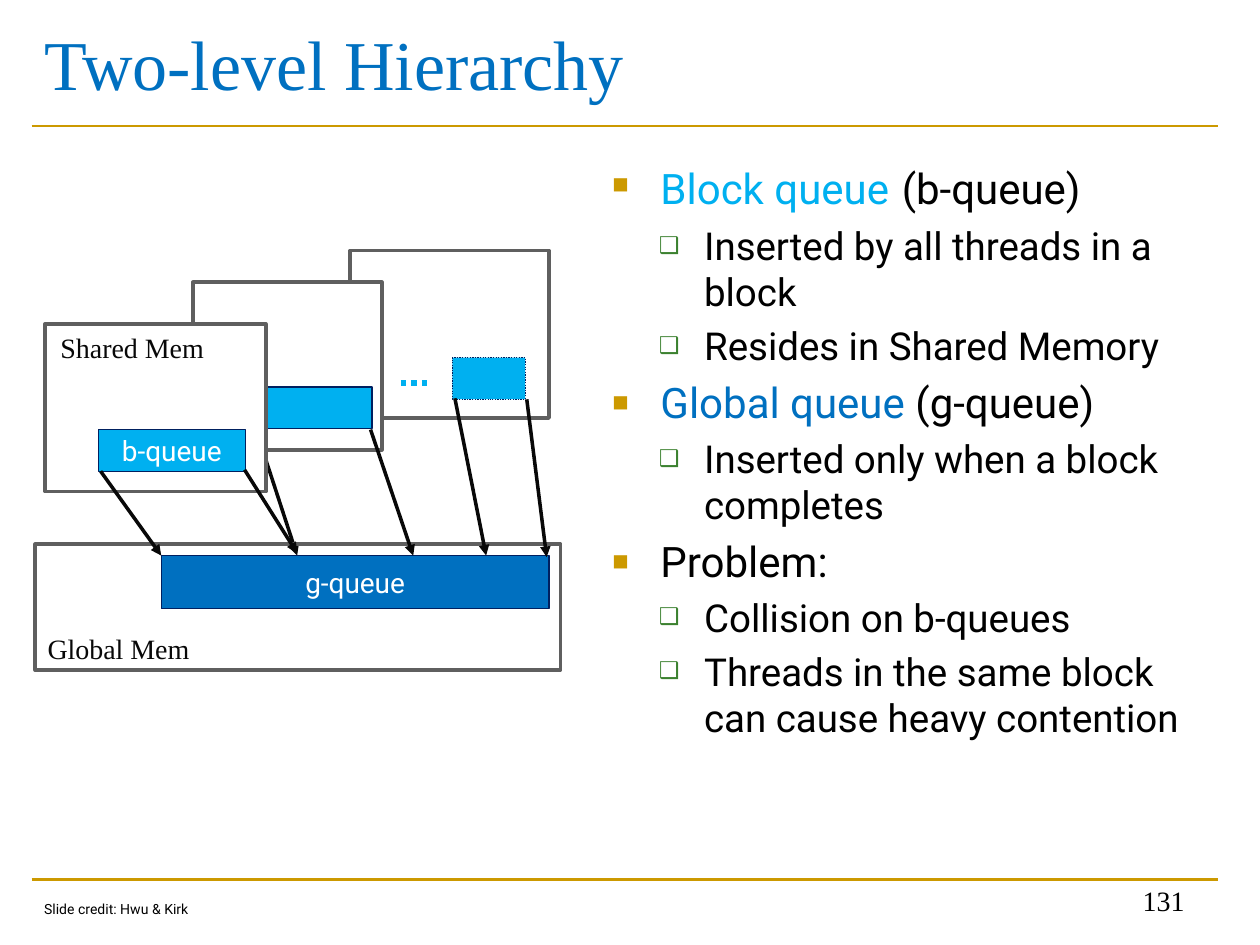
"""Build the slide on the two-level queue hierarchy."""
from dataclasses import dataclass

from lxml.etree import SubElement
from pptx import Presentation
from pptx.dml.color import RGBColor
from pptx.enum.dml import MSO_LINE
from pptx.enum.shapes import MSO_CONNECTOR, MSO_SHAPE
from pptx.enum.text import MSO_ANCHOR, MSO_AUTO_SIZE, PP_ALIGN
from pptx.oxml.ns import qn
from pptx.util import Cm, Pt


@dataclass(frozen=True)
class Theme:
    serif: str = "Times New Roman"
    sans: str = "Roboto"
    blue: str = "0070C0"
    cyan: str = "00B0F0"
    navy: str = "002060"
    gold: str = "CC9900"
    green: str = "3B812F"
    grey: str = "5F5F5F"
    ink: str = "080808"
    black: str = "000000"
    white: str = "FFFFFF"
    title_size: float = 40
    topic_size: float = 24
    gap_size: float = 29
    detail_size: float = 22
    label_size: float = 16
    credit_size: float = 8


class SlideBuilder:
    def __init__(self, slide, theme):
        self.slide = slide
        self.theme = theme

    def run(self, paragraph, text, size, color, face):
        run = paragraph.add_run()
        run.text = text
        run.font.size = Pt(size)
        run.font.name = face
        run.font.color.rgb = RGBColor.from_string(color)

    def place(self, shape, box):
        shape.left, shape.top, shape.width, shape.height = map(Cm, box)

    def title(self, text, box):
        holder = self.slide.shapes.title
        self.place(holder, box)
        holder.text_frame.vertical_anchor = MSO_ANCHOR.MIDDLE
        holder.text_frame.auto_size = MSO_AUTO_SIZE.NONE
        heading = holder.text_frame.paragraphs[0]
        heading.alignment = PP_ALIGN.LEFT
        self.run(heading, text, self.theme.title_size, self.theme.blue, self.theme.serif)

    def bullet(self, paragraph, mark, color, percent, margin, hang):
        properties = paragraph._p.get_or_add_pPr()
        properties.set("marL", str(Cm(margin)))
        properties.set("indent", str(-Cm(hang)))
        tint = SubElement(properties, qn("a:buClr"))
        SubElement(tint, qn("a:srgbClr"), val=color)
        SubElement(properties, qn("a:buSzPct"), val=str(percent * 1000))
        SubElement(properties, qn("a:buChar"), char=mark)

    def outline(self, items, box):
        theme = self.theme
        holder = self.slide.placeholders[1]
        self.place(holder, box)
        frame = holder.text_frame
        frame.auto_size = MSO_AUTO_SIZE.NONE
        for index, (level, runs) in enumerate(items):
            item = frame.add_paragraph() if index else frame.paragraphs[0]
            item.level = level
            if level:
                self.bullet(item, "❑", theme.green, 60, 1.85, 0.91)
            else:
                self.bullet(item, "■", theme.gold, 65, 0.97, 0.97)
            base_size = theme.detail_size if level else theme.topic_size
            item.space_before = Pt(base_size * 0.2 if index else 0)
            for text, color, size in runs:
                self.run(item, text, size or base_size, color, theme.sans)

    def rectangle(self, box, fill, border, weight, label="", dash=None):
        rect = self.slide.shapes.add_shape(MSO_SHAPE.RECTANGLE, *map(Cm, box))
        rect.shadow.inherit = False
        if fill:
            rect.fill.solid()
            rect.fill.fore_color.rgb = RGBColor.from_string(fill)
        else:
            rect.fill.background()
        rect.line.color.rgb = RGBColor.from_string(border)
        rect.line.width = Pt(weight)
        if dash:
            rect.line.dash_style = dash
        if label:
            frame = rect.text_frame
            frame.word_wrap = False
            frame.vertical_anchor = MSO_ANCHOR.MIDDLE
            frame.paragraphs[0].alignment = PP_ALIGN.CENTER
            self.run(frame.paragraphs[0], label, self.theme.label_size,
                     self.theme.white, self.theme.sans)

    def memory(self, box, fill=None):
        self.rectangle(box, fill, self.theme.grey, 2)

    def queue(self, box, fill, label="", dash=None):
        self.rectangle(box, fill, self.theme.navy, 0.75, label, dash)

    def line(self, start, end, color, weight, dash=None):
        line = self.slide.shapes.add_connector(
            MSO_CONNECTOR.STRAIGHT, *map(Cm, start + end))
        line.line.color.rgb = RGBColor.from_string(color)
        line.line.width = Pt(weight)
        if dash:
            line.line.dash_style = dash
        SubElement(line._element.spPr, qn("a:effectLst"))
        return line

    def arrow(self, start, end):
        shaft = self.line(start, end, self.theme.ink, 2)
        SubElement(shaft.line._get_or_add_ln(), qn("a:tailEnd"), type="triangle")

    def text(self, text, box, size, color, face):
        label = self.slide.shapes.add_textbox(*map(Cm, box))
        label.text_frame.word_wrap = False
        label.text_frame.auto_size = MSO_AUTO_SIZE.SHAPE_TO_FIT_TEXT
        self.run(label.text_frame.paragraphs[0], text, size, color, face)

    def page_number(self, number, box):
        label = self.slide.shapes.add_textbox(*map(Cm, box))
        frame = label.text_frame
        frame.word_wrap = True
        frame.vertical_anchor = MSO_ANCHOR.BOTTOM
        frame.paragraphs[0].alignment = PP_ALIGN.RIGHT
        self.run(frame.paragraphs[0], number, self.theme.label_size,
                 self.theme.black, self.theme.serif)


def main():
    deck = Presentation()
    deck.slide_width, deck.slide_height = Cm(25.4), Cm(19.05)
    theme = Theme()
    page = SlideBuilder(deck.slides.add_slide(deck.slide_layouts[1]), theme)

    for rule_y in (2.54, 17.73):
        page.line((0.64, rule_y), (24.56, rule_y), theme.gold, 1.5)
    page.title("Two-level Hierarchy", (0.64, 0, 23.93, 2.51))

    def plain(text):
        return [(text, theme.black, None)]

    page.outline([
        (0, [("Block queue", theme.cyan, None), (" ", theme.black, theme.gap_size),
             ("(b-queue)", theme.black, None)]),
        (1, plain("Inserted by all threads in a block")),
        (1, plain("Resides in Shared Memory")),
        (0, [("Global queue ", theme.blue, None), ("(g-queue)", theme.black, None)]),
        (1, plain("Inserted only when a block completes")),
        (0, plain("Problem:")),
        (1, plain("Collision on b-queues")),
        (1, plain("Threads in the same block can cause heavy contention")),
    ], (12.09, 2.97, 12.34, 13.54))

    page.memory((7.06, 5.05, 4.01, 3.38), theme.white)
    page.arrow((5.16, 8.66), (5.99, 11.2))
    page.memory((0.71, 10.97, 10.59, 2.54))
    page.queue((3.25, 11.2, 7.82, 1.07), theme.blue, "g-queue")
    page.memory((3.89, 5.69, 3.81, 3.38), theme.white)
    page.queue((9.12, 7.21, 1.47, 0.84), theme.cyan, dash=MSO_LINE.ROUND_DOT)
    page.queue((5.16, 7.8, 2.34, 0.84), theme.cyan)
    page.memory((0.91, 6.53, 4.45, 3.38), theme.white)
    page.queue((1.98, 8.66, 2.97, 0.84), theme.cyan, "b-queue")

    for queue_corner, slot in (
        ((2.03, 9.5), (3.25, 11.2)),
        ((4.93, 9.47), (5.99, 11.15)),
        ((7.47, 8.66), (8.33, 11.2)),
        ((9.17, 8.03), (9.8, 11.2)),
        ((10.62, 8.05), (11.02, 11.23)),
    ):
        page.arrow(queue_corner, slot)
    page.line((8.08, 7.72), (8.71, 7.72), theme.cyan, 3, MSO_LINE.ROUND_DOT)

    for memory_name, box in (("Global Mem", (0.71, 12.6, 3.56, 0.94)),
                             ("Shared Mem", (0.97, 6.53, 3.73, 0.94))):
        page.text(memory_name, box, theme.label_size, theme.ink, theme.serif)
    page.page_number("131", (18.21, 17.35, 5.92, 1.27))
    page.text("Slide credit: Hwu & Kirk", (0.64, 18.03, 3.53, 0.61),
              theme.credit_size, theme.black, theme.sans)
    deck.save("out.pptx")


if __name__ == "__main__":
    main()
